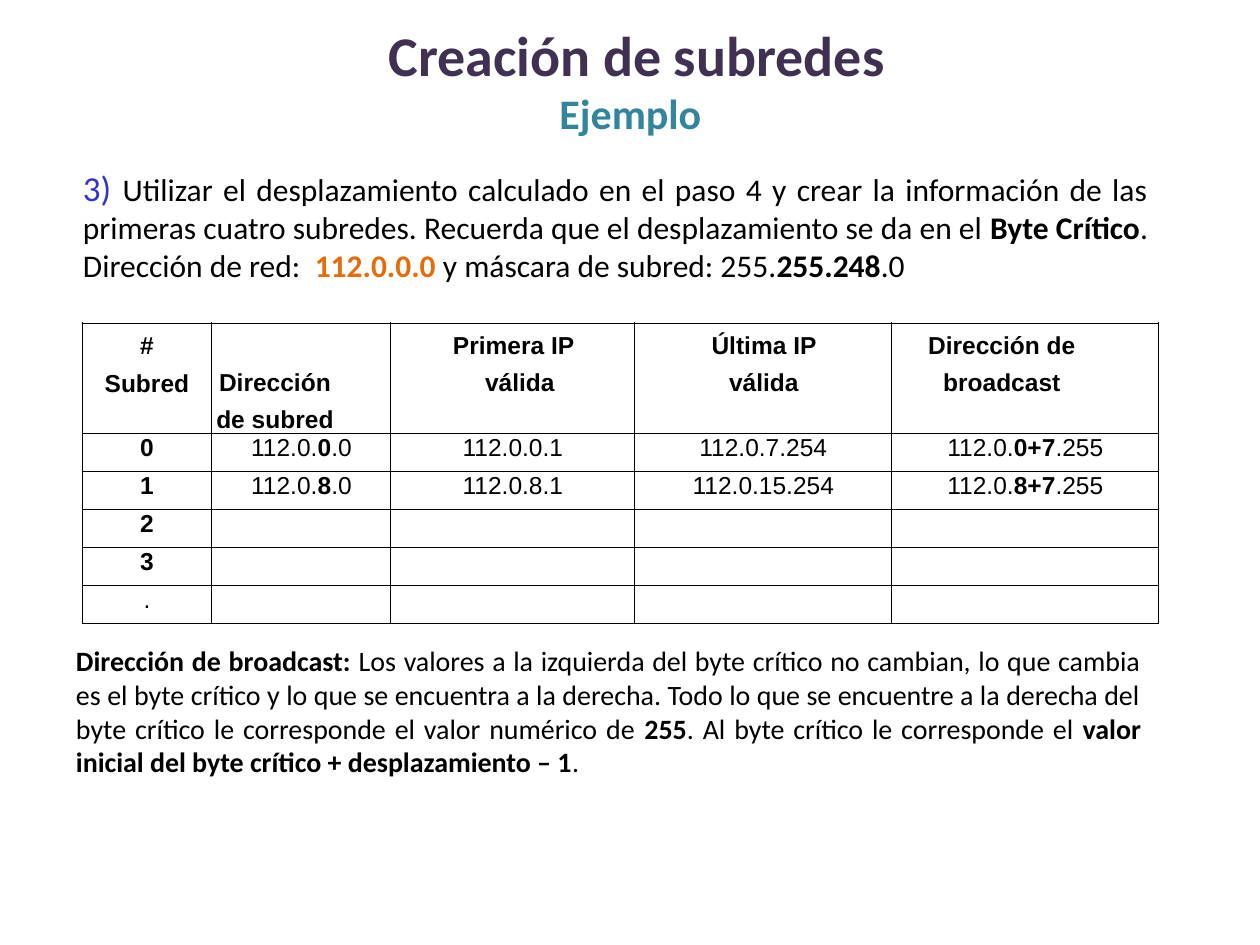
from lxml.etree import SubElement
from pptx import Presentation
from pptx.dml.color import RGBColor
from pptx.enum.text import MSO_ANCHOR, PP_ALIGN as Align
from pptx.oxml.ns import qn
from pptx.util import Pt

PX = 914400 / 126  # EMU per px

BLACK = "000000"
# style: font, size, colour, bold
THEME = {
    "title": ("Calibri", 32, "403152", True),
    "subtitle": ("Calibri", 24, "31859C", True),
    "number": ("Calibri", 20, "3333CC", False),
    "body": ("Calibri", 18, BLACK, False),
    "body bold": ("Calibri", 18, BLACK, True),
    "network": ("Calibri", 18, "E46C0A", True),
    "note": ("Calibri", 16, BLACK, False),
    "note bold": ("Calibri", 16, BLACK, True),
    "cell": ("Arial", 14, BLACK, False),
    "cell bold": ("Arial", 14, BLACK, True),
}


def add_runs(p, runs, align, left=0, right=0, first=0):
    p.alignment = align
    pPr = p._p.get_or_add_pPr()
    for name, value in {"marL": left, "marR": right, "indent": first}.items():
        pPr.set(name, str(round(value * PX)))
    for text, style in runs:
        r = p.add_run()
        r.text = text
        face, size, colour, bold = THEME[style]
        for name, value in {"name": face, "size": Pt(size), "bold": bold}.items():
            setattr(r.font, name, value)
        r.font.color.rgb = RGBColor.from_string(colour)


def add_box(s, box, margins=(0, 0), anchor=MSO_ANCHOR.TOP):
    tf = s.shapes.add_textbox(*(round(v * PX) for v in box)).text_frame
    mx, my = (round(v * PX) for v in margins)
    frame = {"word_wrap": True, "vertical_anchor": anchor, "margin_left": mx,
             "margin_right": mx, "margin_top": my, "margin_bottom": my}
    for name, value in frame.items():
        setattr(tf, name, value)
    return tf


prs = Presentation()
prs.slide_width, prs.slide_height = round(1260 * PX), round(945 * PX)
s = prs.slides.add_slide(prs.slide_layouts[6])

# Heading
tf = add_box(s, (13, 0, 1235, 158), (13, 6), MSO_ANCHOR.MIDDLE)
add_runs(tf.paragraphs[0], [(" Creación de subredes", "title")], Align.CENTER)
add_runs(tf.add_paragraph(), [("Ejemplo", "subtitle")], Align.CENTER)

# Step and explanation of the broadcast address
passages = [
    ((82, 166, 1077, 118), [
        ("3) ", "number"),
        ("Utilizar el desplazamiento calculado en el paso 4 y crear la información "
         "de las primeras cuatro subredes. Recuerda que el desplazamiento se da en el ", "body"),
        ("Byte Crítico", "body bold"),
        (". Dirección de red:  ", "body"),
        ("112.0.0.0 ", "network"),
        ("y máscara de subred: 255.", "body"),
        ("255.248", "body bold"),
        (".0", "body"),
    ]),
    ((75, 644, 1077, 136), [
        ("Dirección de broadcast: ", "note bold"),
        ("Los valores a la izquierda del byte crítico no cambian, lo que cambia es el "
         "byte crítico y lo que se encuentra a la derecha. Todo lo que se encuentre a la "
         "derecha del byte crítico le corresponde el valor numérico de ", "note"),
        ("255", "note bold"),
        (". Al byte crítico le corresponde el ", "note"),
        ("valor inicial del byte crítico + desplazamiento – 1", "note bold"),
        (".", "note"),
    ]),
]
for box, runs in passages:
    add_runs(add_box(s, box).paragraphs[0], runs, Align.JUSTIFY, left=1, right=11)

# Subnet table: frame and grid
widths = [130, 179, 244, 257, 267]
heights = [111] + [38] * 5
frame = (82, 323, sum(widths), sum(heights))
table = s.shapes.add_table(len(heights), len(widths),
                           *(round(v * PX) for v in frame)).table
table.first_row = table.horz_banding = False
for column, width in zip(table.columns, widths):
    column.width = round(width * PX)
for row, height in zip(table.rows, heights):
    row.height = round(height * PX)

for cell in table.iter_cells():
    for side in ("left", "right", "top", "bottom"):
        setattr(cell, f"margin_{side}", 0)
    tcPr = cell._tc.get_or_add_tcPr()
    for edge in "LRTB":
        ln = SubElement(tcPr, qn(f"a:ln{edge}"), w=str(Pt(0.65)))
        SubElement(SubElement(ln, qn("a:solidFill")), qn("a:srgbClr"), val=BLACK)
    cell.fill.background()

# Header row: paragraphs, line spacing, indents
headers = [
    (["#", "Subred"], 21.3, {}),
    (["Dirección de subred"], 21, {"right": 53}),
    (["Primera IP válida"], 21, {"left": 38, "right": 24, "first": -13}),
    (["Última IP válida"], 21, {"left": 55, "right": 54}),
    (["Dirección de broadcast"], 21, {"left": 13, "right": 60}),
]
for cell, (lines, spacing, indents) in zip(table.rows[0].cells, headers):
    tf = cell.text_frame
    for i, line in enumerate(lines):
        p = tf.add_paragraph() if i else tf.paragraphs[0]
        p.line_spacing = Pt(spacing)
        add_runs(p, [(line, "cell bold")], Align.CENTER, **indents)
table.cell(0, 1).margin_top = round(37 * PX)

# Subnet rows: text between asterisks is bold
rows = [
    ["*0*", "112.0.*0*.0", "112.0.0.1", "112.0.7.254", "112.0.*0+7*.255"],
    ["*1*", "112.0.*8*.0", "112.0.8.1", "112.0.15.254", "112.0.*8+7*.255"],
    ["*2*", "", "", "", ""],
    ["*3*", "", "", "", ""],
    [".", "", "", "", ""],
]
for i, values in enumerate(rows, 1):
    for j, value in enumerate(values):
        p = table.cell(i, j).text_frame.paragraphs[0]
        runs = [(part, "cell bold" if k % 2 else "cell")
                for k, part in enumerate(value.split("*")) if part]
        add_runs(p, runs, Align.CENTER)
        if not runs:
            SubElement(p._p, qn("a:endParaRPr"), sz="1400")

prs.save("out.pptx")
